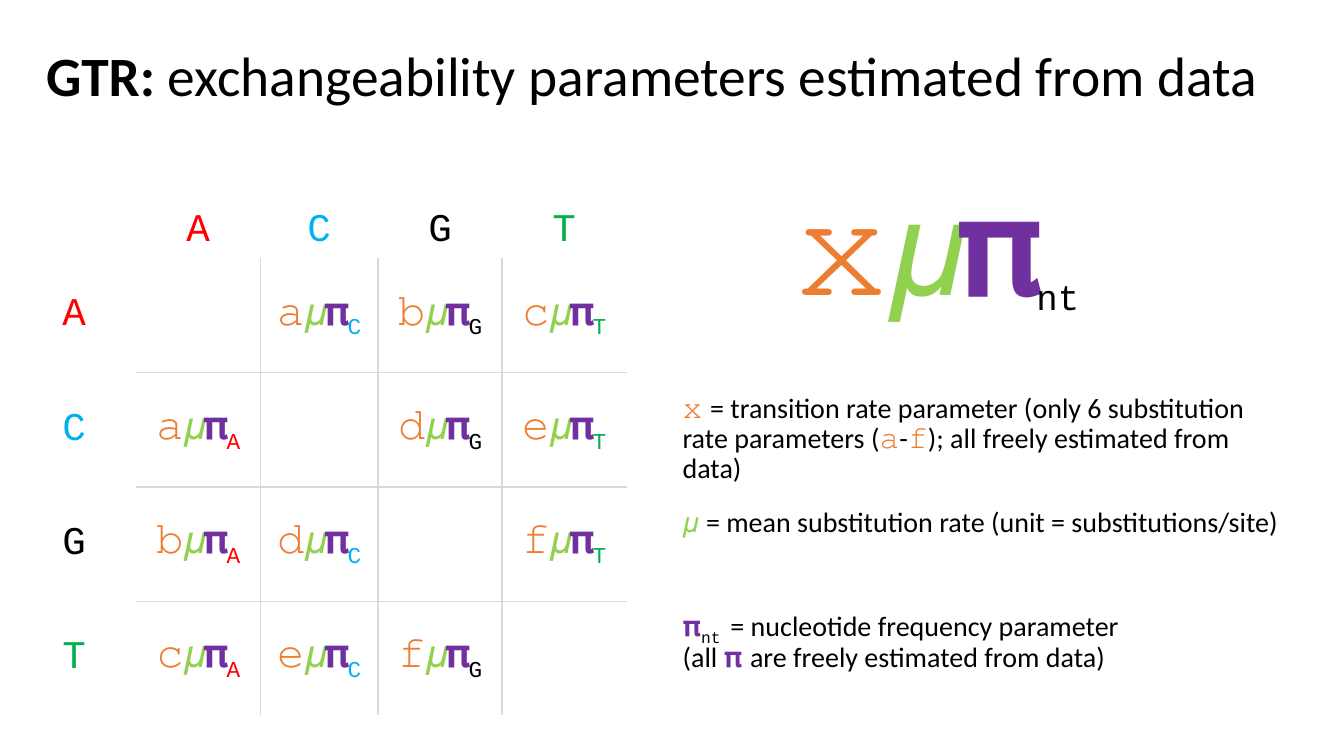
import itertools

import lxml.etree
import pptx
import pptx.dml.color
import pptx.enum.text
import pptx.oxml.ns
import pptx.util

Inches = pptx.util.Inches
Anchor = pptx.enum.text.MSO_ANCHOR
CENTER = pptx.enum.text.PP_ALIGN.CENTER

THEME = {
    "sizes": {"title": 39.6, "body": 20, "table": 28, "formula": 96, "formula_sub": 44},
    "grid": "D9D9D9",
    "styles": {
        "plain": ("Calibri", "000000"),
        "rate": ("Arial", "ED7D31"),
        "mean": ("Arial", "92D050"),
        "frequency": ("Arial", "7030A0"),
        "nt": ("Courier New", "000000"),
        "A": ("Courier New", "FF0000"),
        "C": ("Courier New", "00B0F0"),
        "G": ("Courier New", "000000"),
        "T": ("Courier New", "00B050"),
    },
}
SIZES = THEME["sizes"]


def add_runs(paragraph, size, parts):
    """Add (text, style, extras) parts; extras may hold bold, sub or size."""
    for text, style, *extras in parts:
        options = extras[0] if extras else {}
        name, color = THEME["styles"][style]
        run = paragraph.add_run()
        run.text = text
        font_values = {
            "name": name,
            "size": pptx.util.Pt(options.get("size", size)),
            "bold": options.get("bold", False),
        }
        for key, value in font_values.items():
            setattr(run.font, key, value)
        run.font.color.rgb = pptx.dml.color.RGBColor.from_string(color)
        if options.get("sub"):
            run.font._element.set("baseline", "-25000")


def add_border(cell, side):
    line = lxml.etree.SubElement(
        cell._tc.get_or_add_tcPr(), pptx.oxml.ns.qn(f"a:ln{side}"), w="12700")
    fill = lxml.etree.SubElement(line, pptx.oxml.ns.qn("a:solidFill"))
    lxml.etree.SubElement(fill, pptx.oxml.ns.qn("a:srgbClr"), val=THEME["grid"])


presentation = pptx.Presentation()
presentation.slide_width = Inches(13.33)
presentation.slide_height = Inches(7.5)
slide = presentation.slides.add_slide(presentation.slide_layouts[6])

# Title, explanations and the general formula
title_frame = {"margin_left": Inches(0.1), "margin_right": Inches(0.1),
               "vertical_anchor": Anchor.MIDDLE}
body_frame = {"margin_left": Inches(0.04), "margin_right": Inches(0.04),
              "auto_size": pptx.enum.text.MSO_AUTO_SIZE.SHAPE_TO_FIT_TEXT}
text_boxes = [
    ((0.36, 0.4, 12.65, 0.76), "title", title_frame, None, [
        ("GTR: ", "plain", {"bold": True}),
        ("exchangeability parameters estimated from data", "plain"),
    ]),
    ((6.73, 3.86, 6.14, 0.71), "body", body_frame, None, [
        ("𝚡 ", "rate"),
        ("= transition rate parameter (only 6 substitution rate parameters (", "plain"),
        ("𝚊", "rate"),
        ("-", "plain"),
        ("𝚏", "rate"),
        ("); all freely estimated from data)", "plain"),
    ]),
    ((6.73, 4.99, 6.08, 0.41), "body", body_frame, None, [
        ("𝜇 ", "mean"),
        ("= mean substitution rate (unit = substitutions/site)", "plain"),
    ]),
    ((6.73, 5.99, 4.62, 0.71), "body", body_frame, None, [
        ("𝛑", "frequency"),
        ("nt ", "nt", {"sub": True}),
        ("= nucleotide frequency parameter (all ", "plain"),
        ("𝛑 ", "frequency"),
        ("are freely estimated from data)", "plain"),
    ]),
    ((7.39, 1.73, 3.8, 1.56), "formula", body_frame, CENTER, [
        ("𝚡", "rate"),
        ("𝜇", "mean"),
        ("𝛑", "frequency"),
        ("nt", "nt", {"sub": True, "size": SIZES["formula_sub"]}),
    ]),
]
for box, size_name, frame_values, alignment, parts in text_boxes:
    frame = slide.shapes.add_textbox(*map(Inches, box)).text_frame
    for key, value in {"word_wrap": True, **frame_values}.items():
        setattr(frame, key, value)
    paragraph = frame.paragraphs[0]
    paragraph.line_spacing = 0.9
    paragraph.alignment = alignment
    add_runs(paragraph, SIZES[size_name], parts)

# Rate matrix: each unordered pair of nucleotides shares one rate letter
NUCLEOTIDES = "ACGT"
rates = {frozenset(pair): letter for pair, letter
         in zip(itertools.combinations(NUCLEOTIDES, 2), "𝚊𝚋𝚌𝚍𝚎𝚏")}
count = len(NUCLEOTIDES) + 1
table = slide.shapes.add_table(
    count, count, Inches(0.12), Inches(1.43), Inches(6.08), Inches(5.67)).table
table.first_row = False
table.horz_banding = False
for column, width in zip(table.columns, (1.23, 1.23, 1.17, 1.23, 1.23)):
    column.width = Inches(width)
for row in table.rows:
    row.height = Inches(5.67 / count)

for i, j in itertools.product(range(count), repeat=2):
    cell = table.cell(i, j)
    source = NUCLEOTIDES[i - 1] if i else ""
    target = NUCLEOTIDES[j - 1] if j else ""
    parts = []
    if source and target:
        borders = {"L": j > 1, "R": j < count - 1, "T": i > 1, "B": i < count - 1}
        for side, shown in borders.items():
            if shown:
                add_border(cell, side)
        if source != target:
            parts = [
                (rates[frozenset((source, target))], "rate"),
                ("𝜇", "mean"),
                ("𝛑", "frequency"),
                (target, target, {"sub": True}),
            ]
    elif source or target:
        parts = [(source or target, source or target)]
    cell.fill.background()
    cell.vertical_anchor = Anchor.MIDDLE if i else Anchor.BOTTOM
    paragraph = cell.text_frame.paragraphs[0]
    paragraph.alignment = CENTER
    add_runs(paragraph, SIZES["table"], parts)

presentation.save("out.pptx")
